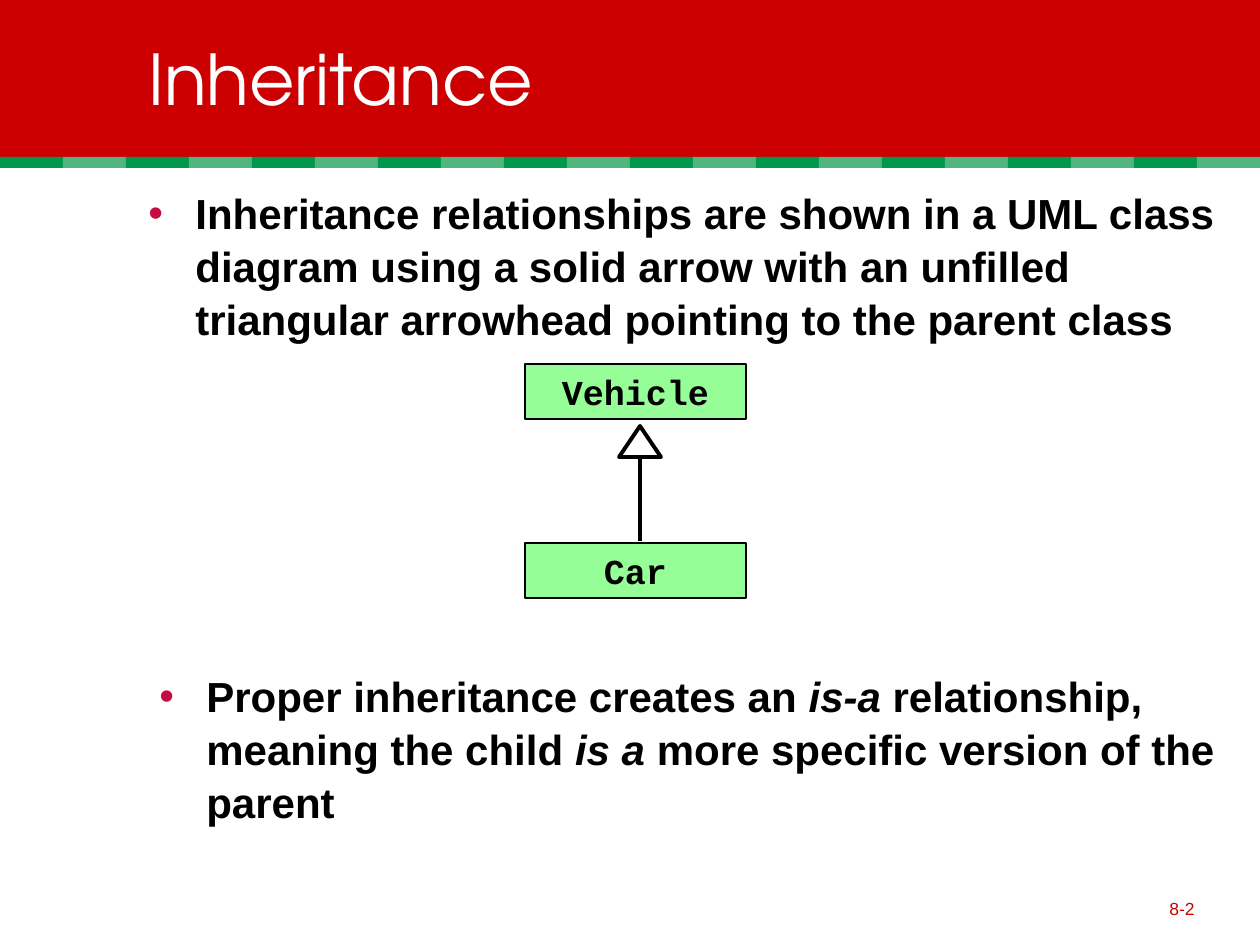
import pptx
import pptx.dml.color
import pptx.enum.shapes
import pptx.enum.text
import pptx.util
import lxml.etree

RGBColor = pptx.dml.color.RGBColor
SHAPE = pptx.enum.shapes.MSO_SHAPE
ALIGN = pptx.enum.text.PP_ALIGN
ANCHOR = pptx.enum.text.MSO_ANCHOR

RED = RGBColor(0xCC, 0x00, 0x00)
DARK_GREEN = RGBColor(0x00, 0x98, 0x4A)
LIGHT_GREEN = RGBColor(0x52, 0xB4, 0x7E)
CLASS_GREEN = RGBColor(0x96, 0xFE, 0x96)
BULLET_RED = RGBColor(0xC4, 0x0C, 0x42)
WHITE = RGBColor(0xFF, 0xFF, 0xFF)
BLACK = RGBColor(0x00, 0x00, 0x00)

TITLE_FONT = {"name": "TeX Gyre Adventor", "size": pptx.util.Pt(40)}
BODY_FONT = {"name": "Arial", "size": pptx.util.Pt(24), "bold": True}
CLASS_FONT = {"name": "Courier New", "size": pptx.util.Pt(20), "bold": True}
NUMBER_FONT = {"name": "Arial", "size": pptx.util.Pt(10)}


def px(length):
    """Turn px into EMU at 126 px to the inch."""
    return pptx.util.Emu(round(length * 914400 / 126))


def set_all(target, values):
    """Set each named attribute of the target."""
    for name, value in values.items():
        setattr(target, name, value)


def add_run(paragraph, text, font, color, italic=False):
    """Append a formatted run to the paragraph."""
    run = paragraph.add_run()
    run.text = text
    set_all(run.font, {**font, "italic": italic})
    run.font.color.rgb = color


def add_block(parent, kind, box, fill, outline=None):
    """Draw a flat shape, with a line only if a width is given."""
    block = parent.shapes.add_shape(kind, *map(px, box))
    block.shadow.inherit = False
    block.fill.solid()
    block.fill.fore_color.rgb = fill
    if outline:
        block.line.color.rgb = BLACK
        block.line.width = pptx.util.Pt(outline)
    else:
        block.line.fill.background()
    return block


def add_text(slide, box, anchor):
    """Place an empty wrapping text box and return its paragraph."""
    frame = slide.shapes.add_textbox(*map(px, box)).text_frame
    set_all(frame, {"word_wrap": True, "vertical_anchor": anchor})
    return frame.paragraphs[0]


def add_header(slide, box, title):
    """Draw the red band, the striped rule below it and the title."""
    left, top, width, height = box
    rule, stripes = 11, 20
    band = height - rule
    add_block(slide, SHAPE.RECTANGLE, (left, top, width, band), RED)
    stripe = width // stripes
    for index in range(stripes):
        color = LIGHT_GREEN if index % 2 else DARK_GREEN
        place = (left + index * stripe, top + band, stripe, rule)
        add_block(slide, SHAPE.RECTANGLE, place, color)
    heading = add_text(slide, (left + 136, top + 30, width - 168, 95), ANCHOR.MIDDLE)
    add_run(heading, title, TITLE_FONT, WHITE)


def add_bullet(slide, box, parts):
    """Write one bulleted statement from (text, italic) parts."""
    statement = add_text(slide, box, ANCHOR.TOP)
    set_all(statement, {"space_before": pptx.util.Pt(6), "line_spacing": 1.05})
    properties = statement._p.get_or_add_pPr()
    properties.set("marL", str(px(47)))
    properties.set("indent", str(-px(47)))
    qn = pptx.oxml.ns.qn
    bullet_color = lxml.etree.SubElement(properties, qn("a:buClr"))
    lxml.etree.SubElement(bullet_color, qn("a:srgbClr"), val=str(BULLET_RED))
    lxml.etree.SubElement(properties, qn("a:buFont"), typeface="Arial")
    lxml.etree.SubElement(properties, qn("a:buChar"), char="•")
    for text, italic in parts:
        add_run(statement, text, BODY_FONT, BLACK, italic)


def add_class_diagram(slide, box, parent_name, child_name):
    """Draw a parent above a child, joined by an inheritance arrow."""
    left, top, width, height = box
    class_height = 55
    child_top = top + height - class_height
    axis, head_top, head_width, head_height = left + 115, top + 62, 42, 31
    shaft = slide.shapes.add_connector(
        pptx.enum.shapes.MSO_CONNECTOR.STRAIGHT,
        px(axis), px(child_top - 2), px(axis), px(head_top + head_height))
    shaft.line.color.rgb = BLACK
    shaft.line.width = pptx.util.Pt(2.25)
    lxml.etree.SubElement(shaft._element.spPr, pptx.oxml.ns.qn("a:effectLst"))
    head = (axis - head_width // 2, head_top, head_width, head_height)
    add_block(slide, SHAPE.ISOSCELES_TRIANGLE, head, WHITE, 2.25)
    for name, class_top in ((parent_name, top), (child_name, child_top)):
        place = (left, class_top, width, class_height)
        class_box = add_block(slide, SHAPE.RECTANGLE, place, CLASS_GREEN, 1)
        class_box.text_frame.vertical_anchor = ANCHOR.MIDDLE
        label = class_box.text_frame.paragraphs[0]
        label.alignment = ALIGN.CENTER
        add_run(label, name, CLASS_FONT, BLACK)


def add_page_number(slide, box, number):
    """Write the page number at the lower right of its box."""
    page = add_text(slide, box, ANCHOR.BOTTOM)
    page.alignment = ALIGN.RIGHT
    add_run(page, number, NUMBER_FONT, RED)


def main():
    """Build the inheritance slide and save it."""
    deck = pptx.Presentation()
    set_all(deck, {"slide_width": px(1260), "slide_height": px(945)})
    slide = deck.slides.add_slide(deck.slide_layouts[6])
    add_header(slide, (0, 0, 1260, 168), "Inheritance")
    add_bullet(slide, (136, 179, 1092, 189), [
        ("Inheritance relationships are shown in a UML class diagram using a solid "
         "arrow with an unfilled triangular arrowhead pointing to the parent class", False)])
    add_class_diagram(slide, (525, 364, 221, 234), "Vehicle", "Car")
    add_bullet(slide, (147, 662, 1092, 179), [
        ("Proper inheritance creates an ", False),
        ("is-a", True),
        (" relationship, meaning the child ", False),
        ("is a", True),
        (" more specific version of the parent", False)])
    add_page_number(slide, (945, 872, 262, 53), "8-2")
    deck.save("out.pptx")


if __name__ == "__main__":
    main()
